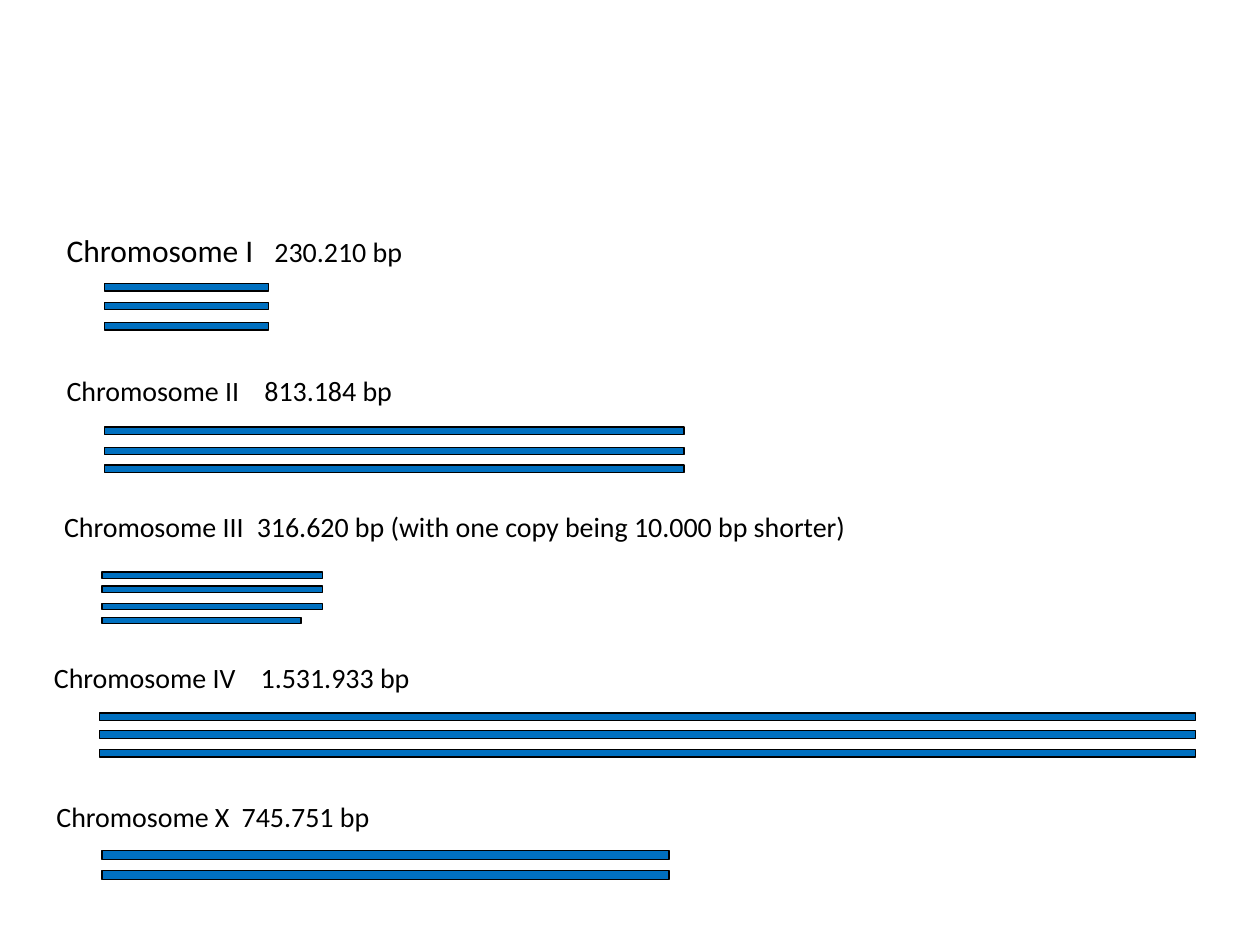
import dataclasses

import pptx
import pptx.dml.color
import pptx.enum.shapes
import pptx.enum.text
import pptx.oxml.ns
import pptx.util
from lxml import etree

Inches = pptx.util.Inches


@dataclasses.dataclass(frozen=True)
class Theme:
    font: str = "Calibri"
    text: str = "000000"
    bar: str = "0070C0"
    outline: str = "000000"
    outline_width: float = 0.75
    heading_size: int = 18
    body_size: int = 16


def rgb(value):
    return pptx.dml.color.RGBColor.from_string(value)


def add_text(paragraph, text, *, font, size, color):
    run = paragraph.add_run()
    run.text = text
    run.font.name = font
    run.font.size = pptx.util.Pt(size)
    run.font.color.rgb = rgb(color)


class KaryotypeSlide:
    def __init__(self, presentation, theme):
        self.theme = theme
        self.slide = presentation.slides.add_slide(presentation.slide_layouts[6])

    def label(self, name, length, left, top, width, height, tab, name_size):
        label = self.slide.shapes.add_textbox(
            Inches(left), Inches(top), Inches(width), Inches(height))
        frame = label.text_frame
        frame.word_wrap = True
        frame.auto_size = pptx.enum.text.MSO_AUTO_SIZE.SHAPE_TO_FIT_TEXT
        frame.vertical_anchor = pptx.enum.text.MSO_ANCHOR.MIDDLE
        line = frame.paragraphs[0]
        qn = pptx.oxml.ns.qn
        tabs = etree.SubElement(line._p.get_or_add_pPr(), qn("a:tabLst"))
        etree.SubElement(tabs, qn("a:tab"), pos=str(Inches(tab)), algn="l")
        style = {"font": self.theme.font, "color": self.theme.text}
        add_text(line, name + "\t", size=name_size, **style)
        add_text(line, length, size=self.theme.body_size, **style)

    def copies(self, left, height, bars):
        homologs = self.slide.shapes.add_group_shape()
        for top, width in bars:
            bar = homologs.shapes.add_shape(
                pptx.enum.shapes.MSO_SHAPE.RECTANGLE,
                Inches(left), Inches(top), Inches(width), Inches(height))
            bar.shadow.inherit = False
            bar.fill.solid()
            bar.fill.fore_color.rgb = rgb(self.theme.bar)
            bar.line.color.rgb = rgb(self.theme.outline)
            bar.line.width = pptx.util.Pt(self.theme.outline_width)


def main():
    theme = Theme()
    presentation = pptx.Presentation()
    presentation.slide_width = Inches(10)
    presentation.slide_height = Inches(7.5)
    karyotype = KaryotypeSlide(presentation, theme)

    large, normal = theme.heading_size, theme.body_size
    labels = [
        ("Chromosome I", "230.210 bp", 0.43, 1.78, 3.48, 0.4, 1.65, large),
        ("Chromosome II", "813.184 bp", 0.43, 2.91, 3.49, 0.37, 1.57, normal),
        ("Chromosome III", "316.620 bp (with one copy being 10.000 bp shorter)",
         0.41, 3.99, 7.11, 0.37, 1.53, normal),
        ("Chromosome IV", "1.531.933 bp", 0.33, 5.19, 4.59, 0.37, 1.64, normal),
        ("Chromosome X", "745.751 bp", 0.35, 6.29, 4.3, 0.37, 1.47, normal),
    ]
    chromosome_copies = [
        (0.83, 0.06, [(top, 1.3) for top in (2.25, 2.4, 2.56)]),
        (0.83, 0.06, [(top, 4.6) for top in (3.39, 3.55, 3.69)]),
        (0.81, 0.05, [(4.54, 1.75), (4.65, 1.75), (4.79, 1.75), (4.9, 1.58)]),
        (0.79, 0.06, [(top, 8.7) for top in (5.66, 5.8, 5.95)]),
        (0.81, 0.07, [(top, 4.5) for top in (6.75, 6.91)]),
    ]
    for label, (left, height, bars) in zip(labels, chromosome_copies):
        karyotype.label(*label)
        karyotype.copies(left, height, bars)

    presentation.save("out.pptx")


if __name__ == "__main__":
    main()
